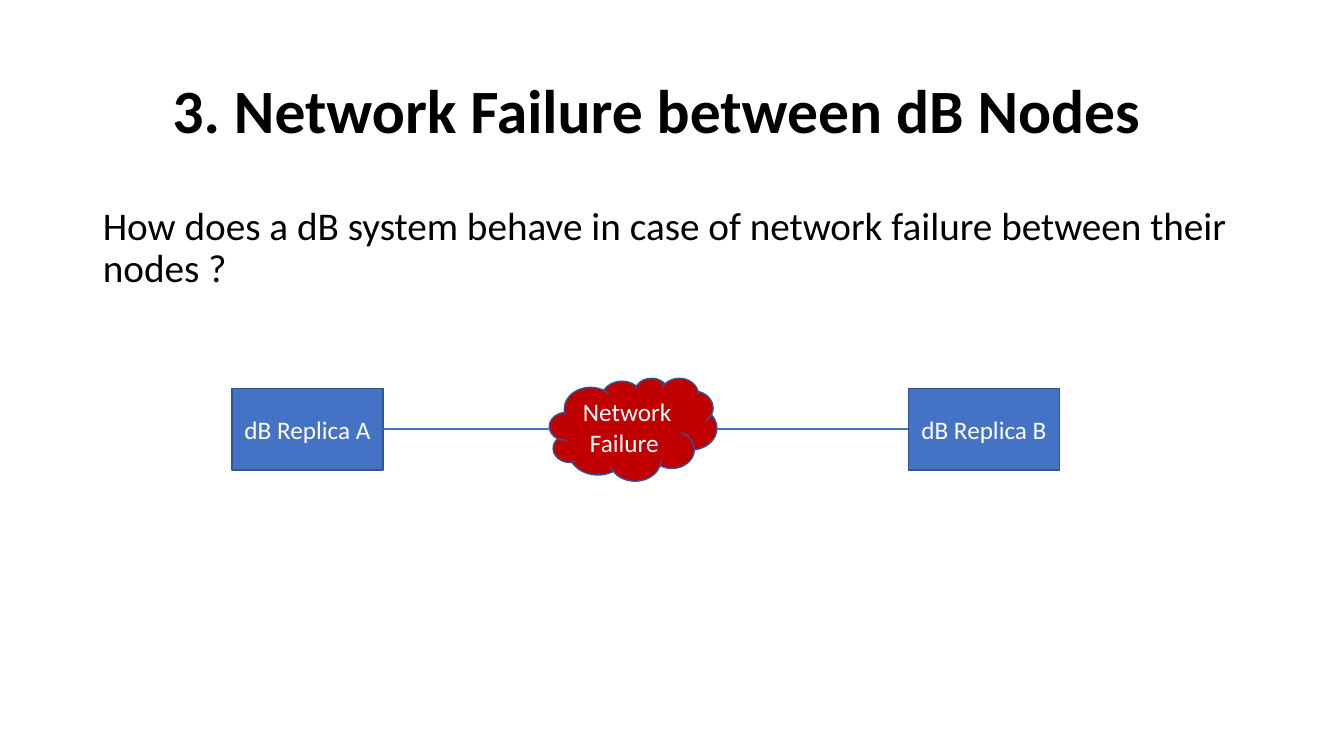
import pptx
import pptx.dml.color
import pptx.enum.shapes
import pptx.enum.text
import pptx.oxml.ns
import pptx.util
import lxml.etree
from dataclasses import dataclass

Inches = pptx.util.Inches
Shapes = pptx.enum.shapes.MSO_SHAPE
Align = pptx.enum.text.PP_ALIGN
Anchor = pptx.enum.text.MSO_ANCHOR


@dataclass(frozen=True)
class Theme:
    font: str = "Calibri"
    ink: str = "000000"
    paper: str = "FFFFFF"
    node: str = "4472C4"
    failure: str = "C00000"
    outline: str = "325491"
    title_size: float = 44
    body_size: float = 28
    label_size: float = 18
    outline_width: float = 1
    link_width: float = 1.5


def rgb(value):
    return pptx.dml.color.RGBColor.from_string(value)


def write_text(frame, text, *, font, size, color, bold=False, align=Align.LEFT,
               anchor=Anchor.MIDDLE, spacing=1.0, left_margin=0.1,
               hide_bullet=False):
    frame.word_wrap = True
    frame.auto_size = pptx.enum.text.MSO_AUTO_SIZE.NONE
    frame.vertical_anchor = anchor
    frame.margin_left = Inches(left_margin)
    frame.text = text
    paragraph = frame.paragraphs[0]
    if hide_bullet:
        properties = paragraph._p.get_or_add_pPr()
        properties.set("marL", "0")
        properties.set("indent", "0")
        lxml.etree.SubElement(properties, pptx.oxml.ns.qn("a:buNone"))
    paragraph.alignment = align
    paragraph.line_spacing = spacing
    paragraph.space_before = pptx.util.Pt(0)
    run_font = paragraph.runs[0].font
    run_font.name = font
    run_font.size = pptx.util.Pt(size)
    run_font.bold = bold
    run_font.color.rgb = rgb(color)


class SlideBuilder:
    def __init__(self, slide, theme):
        self.slide = slide
        self.theme = theme

    def place(self, placeholder, left, top, width, height):
        placeholder.left, placeholder.top = Inches(left), Inches(top)
        placeholder.width, placeholder.height = Inches(width), Inches(height)

    def title(self, text, box):
        heading = self.slide.shapes.title
        self.place(heading, *box)
        write_text(heading.text_frame, text, font=self.theme.font,
                   size=self.theme.title_size, color=self.theme.ink,
                   bold=True, spacing=0.9, left_margin=0.79)

    def body(self, text, box):
        question = self.slide.placeholders[1]
        self.place(question, *box)
        write_text(question.text_frame, text, font=self.theme.font,
                   size=self.theme.body_size, color=self.theme.ink,
                   anchor=Anchor.TOP, spacing=0.9, hide_bullet=True)

    def node(self, kind, text, box, fill):
        node = self.slide.shapes.add_shape(kind, *map(Inches, box))
        node.shadow.inherit = False
        node.fill.solid()
        node.fill.fore_color.rgb = rgb(fill)
        node.line.color.rgb = rgb(self.theme.outline)
        node.line.width = pptx.util.Pt(self.theme.outline_width)
        write_text(node.text_frame, text, font=self.theme.font,
                   size=self.theme.label_size, color=self.theme.paper,
                   align=Align.CENTER)

    def link(self, start, end, y):
        link = self.slide.shapes.add_connector(
            pptx.enum.shapes.MSO_CONNECTOR.STRAIGHT,
            Inches(start), Inches(y), Inches(end), Inches(y))
        link.line.color.rgb = rgb(self.theme.node)
        link.line.width = pptx.util.Pt(self.theme.link_width)
        lxml.etree.SubElement(link._element.spPr, pptx.oxml.ns.qn("a:effectLst"))


def main():
    deck = pptx.Presentation()
    deck.slide_width, deck.slide_height = Inches(13.33), Inches(7.5)
    theme = Theme()
    builder = SlideBuilder(deck.slides.add_slide(deck.slide_layouts[1]), theme)

    builder.title("3. Network Failure between dB Nodes", (0.92, 0.4, 11.5, 1.45))
    builder.body("How does a dB system behave in case of network failure "
                 "between their nodes ?", (0.92, 2, 11.5, 4.76))

    replica_width, replica_height = 1.5, 0.81
    cloud_left, cloud_width, cloud_height = 5.45, 1.66, 1.02
    replica_a, replica_b, axis = 2.3, 9.01, 4.26
    for name, left in (("A", replica_a), ("B", replica_b)):
        builder.node(Shapes.RECTANGLE, f"dB Replica {name}",
                     (left, axis - replica_height / 2, replica_width, replica_height),
                     theme.node)
    builder.node(Shapes.CLOUD, "Network Failure ",
                 (cloud_left, axis - cloud_height / 2, cloud_width, cloud_height),
                 theme.failure)
    builder.link(replica_a + replica_width, cloud_left, axis)
    builder.link(cloud_left + cloud_width, replica_b, axis)
    deck.save("out.pptx")


if __name__ == "__main__":
    main()
